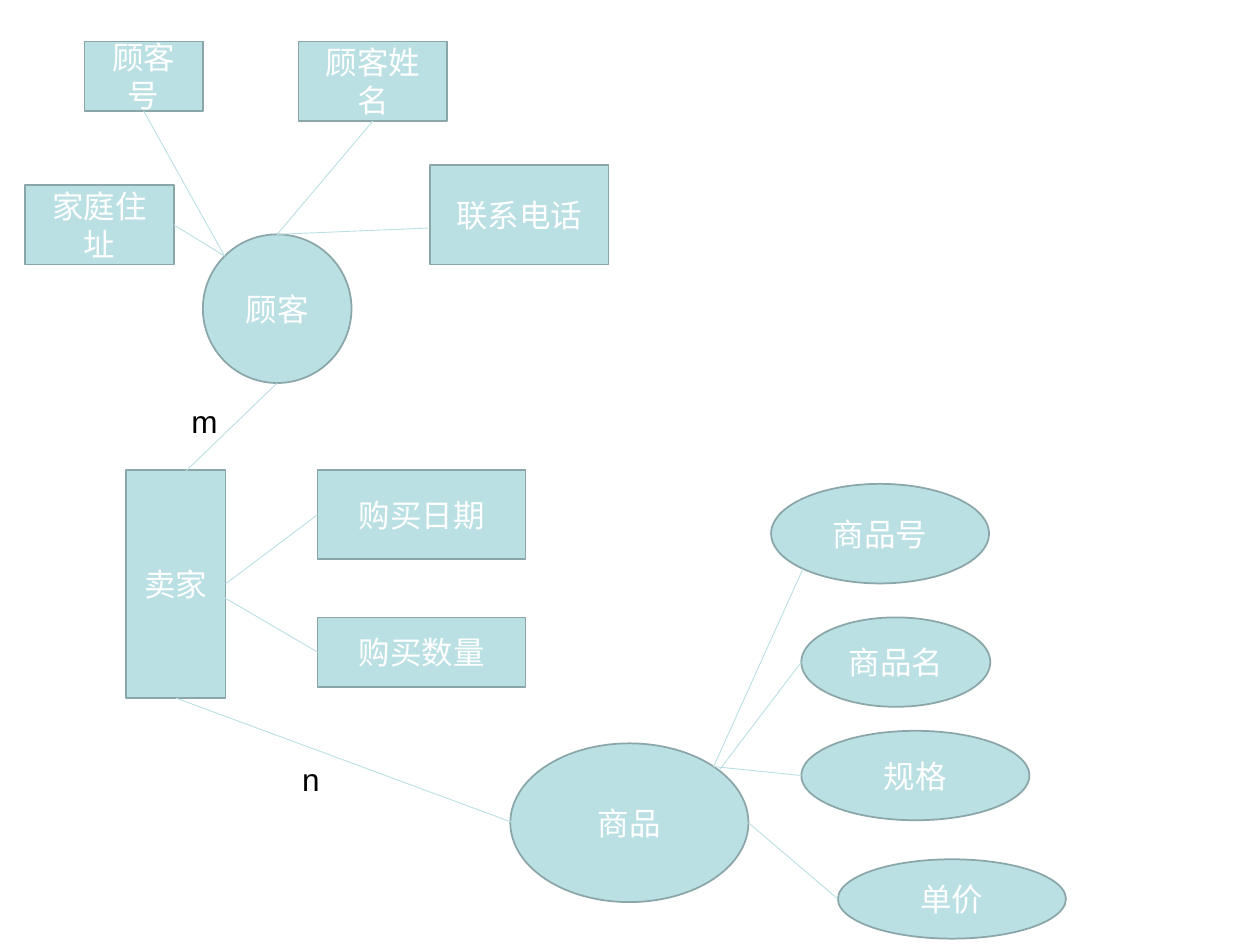
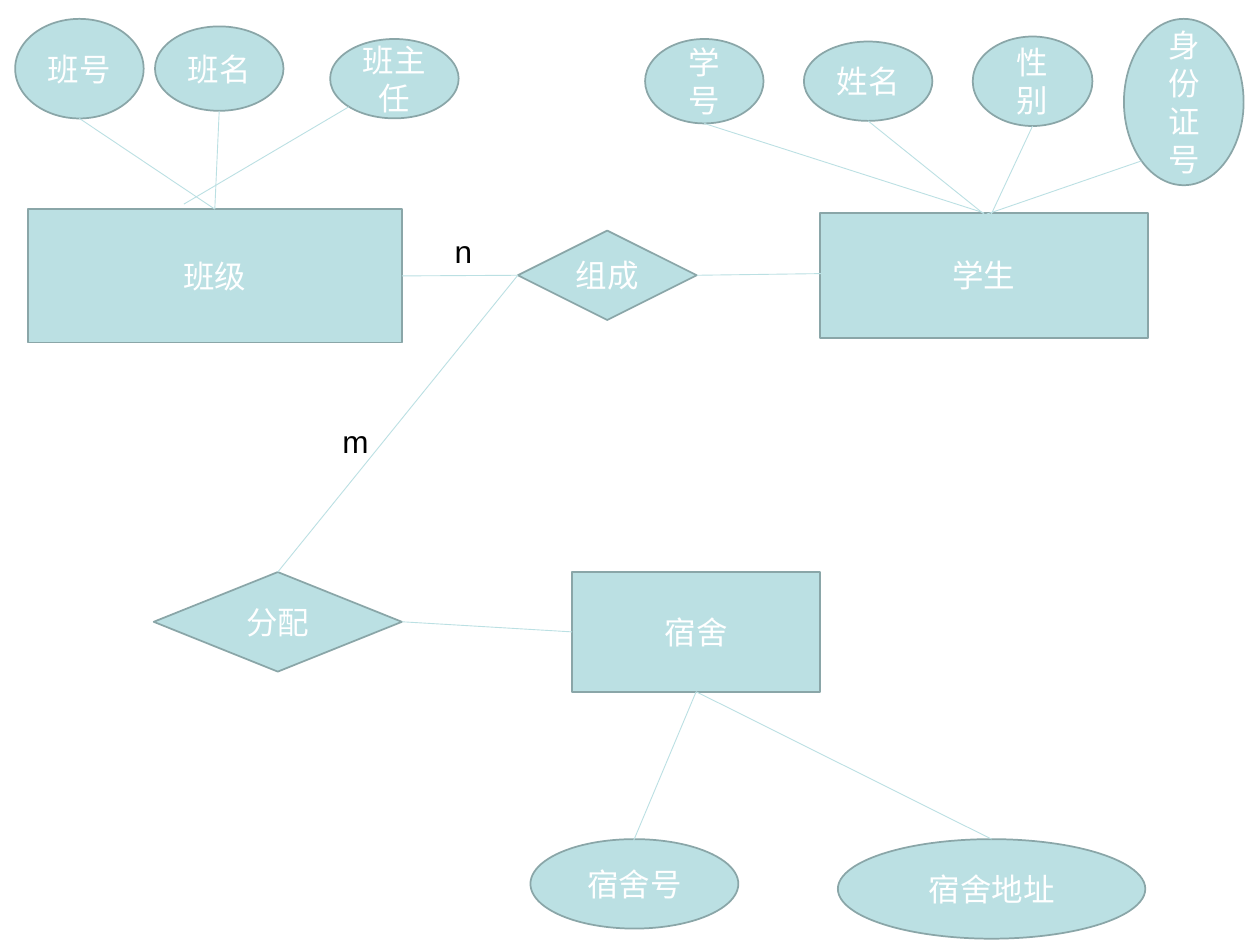
"""Two entity-relationship diagrams: a shop and a school."""
from lxml import etree
from pptx import Presentation
from pptx.dml.color import RGBColor
from pptx.enum import shapes, text
from pptx.oxml.ns import qn
from pptx.util import Inches, Pt

FILL, EDGE, WHITE, BLACK = "BBE0E3", "8AA6A8", "FFFFFF", "000000"
FONT, SIZE = "Arial", 18
RECT = shapes.MSO_SHAPE.RECTANGLE
OVAL = shapes.MSO_SHAPE.OVAL
GEM = shapes.MSO_SHAPE.DIAMOND

# Where lines dock, as fractions of a node's width and height.
NEAR, FAR = 0.146, 0.854
DOCKS = {"top": (0.5, 0), "left": (0, 0.5), "base": (0.5, 1),
         "right": (1, 0.5), "nw": (NEAR, NEAR), "ne": (FAR, NEAR),
         "sw": (NEAR, FAR)}

SHOP = {
    "nodes": [
        ("顾客", OVAL, 1.61, 1.86, 1.18, 1.18),
        ("家庭住址", RECT, 0.2, 1.47, 1.18, 0.63),
        ("顾客号", RECT, 0.67, 0.33, 0.94, 0.55),
        ("顾客姓名", RECT, 2.37, 0.33, 1.18, 0.63),
        ("联系电话", RECT, 3.41, 1.31, 1.42, 0.79),
        ("卖家", RECT, 1, 3.73, 0.79, 1.81),
        ("购买日期", RECT, 2.52, 3.73, 1.65, 0.71),
        ("购买数量", RECT, 2.52, 4.9, 1.65, 0.55),
        ("商品", OVAL, 4.05, 5.9, 1.89, 1.26),
        ("商品号", OVAL, 6.12, 3.84, 1.73, 0.79),
        ("商品名", OVAL, 6.36, 4.9, 1.5, 0.71),
        ("规格", OVAL, 6.36, 5.8, 1.81, 0.71),
        ("单价", OVAL, 6.65, 6.82, 1.81, 0.63),
    ],
    "links": [
        (("家庭住址", "right"), ("顾客", "nw")),
        (("顾客号", "base"), ("顾客", "nw")),
        (("顾客姓名", "base"), ("顾客", "top")),
        ((3.4, 1.81), ("顾客", "top")),
        (("购买日期", "left"), ("卖家", "right")),
        (("购买数量", "left"), (1.69, 4.69)),
        (("商品号", "sw"), ("商品", "ne")),
        (("商品名", "left"), (5.71, 6.11)),
        (("规格", "left"), ("商品", "ne")),
        (("单价", "left"), ("商品", "right")),
        (("顾客", "base"), (1.38, 3.83)),
        (("卖家", "base"), (4.21, 6.58)),
    ],
    "marks": [("m", 1.42, 3.14, 0.35), ("n", 2.3, 5.98, 0.26)],
}

SCHOOL = {
    "nodes": [
        ("班级", RECT, 0.22, 1.66, 2.97, 1.06),
        ("班号", OVAL, 0.12, 0.15, 1.02, 0.79),
        ("班名", OVAL, 1.23, 0.21, 1.02, 0.67),
        ("班主任", OVAL, 2.62, 0.31, 1.02, 0.63),
        ("组成", GEM, 4.11, 1.83, 1.42, 0.71),
        ("学生", RECT, 6.51, 1.69, 2.6, 0.99),
        ("学号", OVAL, 5.12, 0.31, 0.94, 0.67),
        ("姓名", OVAL, 6.38, 0.33, 1.02, 0.63),
        ("性别", OVAL, 7.72, 0.29, 0.95, 0.71),
        ("身份证号", OVAL, 8.92, 0.15, 0.95, 1.32),
        ("分配", GEM, 1.22, 4.54, 1.97, 0.79),
        ("宿舍", RECT, 4.54, 4.54, 1.97, 0.95),
        ("宿舍号", OVAL, 4.21, 6.66, 1.65, 0.71),
        ("宿舍地址", OVAL, 6.65, 6.66, 2.44, 0.79),
    ],
    "links": [
        (("班号", "base"), ("班级", "top")),
        (("班名", "base"), ("班级", "top")),
        (("班主任", "sw"), (1.46, 1.62)),
        (("班级", "right"), ("组成", "left")),
        (("组成", "right"), (6.65, 2.17)),
        (("学号", "base"), ("学生", "top")),
        (("姓名", "base"), (7.91, 1.78)),
        (("性别", "base"), (7.83, 1.78)),
        (("身份证号", "sw"), (7.83, 1.7)),
        (("组成", "left"), ("分配", "top")),
        (("宿舍", "base"), (5, 6.74)),
        (("宿舍", "base"), ("宿舍地址", "top")),
        (("分配", "right"), ("宿舍", "left")),
    ],
    "marks": [("n", 3.51, 1.79, 0.23), ("m", 2.62, 3.3, 0.33)],
}


def color(code):
    """Turn a hex string into a colour."""
    return RGBColor.from_string(code)


def write(par, words, tint):
    """Add one run in the shared font."""
    run = par.add_run()
    run.text = words
    run.font.name, run.font.size = FONT, Pt(SIZE)
    run.font.color.rgb = color(tint)


def node(slide, name, kind, *box):
    """Draw a filled shape with its name in the middle."""
    item = slide.shapes.add_shape(kind, *map(Inches, box))
    item.shadow.inherit = False
    item.fill.solid()
    item.fill.fore_color.rgb = color(FILL)
    item.line.color.rgb = color(EDGE)
    item.line.width = Pt(1)
    frame = item.text_frame
    frame.word_wrap = True
    frame.vertical_anchor = text.MSO_ANCHOR.MIDDLE
    par = frame.paragraphs[0]
    par.alignment = text.PP_ALIGN.CENTER
    write(par, name, WHITE)


def spot(end, boxes):
    """Give the point of a line end: a node's dock or a free point."""
    if end[0] not in boxes:
        return end
    x, y, wide, high = boxes[end[0]]
    across, down = DOCKS[end[1]]
    return x + across * wide, y + down * high


def link(slide, start, stop):
    """Draw a thin line between two points."""
    line = slide.shapes.add_connector(
        shapes.MSO_CONNECTOR.STRAIGHT, *map(Inches, (*start, *stop)))
    line.line.color.rgb = color(FILL)
    line.line.width = Pt(0.5)
    etree.SubElement(line._element.spPr, qn("a:effectLst"))


def mark(slide, words, x, y, wide):
    """Write a cardinality beside a line."""
    box = slide.shapes.add_textbox(*map(Inches, (x, y, wide, 0.4)))
    frame = box.text_frame
    frame.word_wrap = True
    frame.auto_size = text.MSO_AUTO_SIZE.SHAPE_TO_FIT_TEXT
    write(frame.paragraphs[0], words, BLACK)


def chart(deck, plan):
    """Add a slide with one diagram."""
    slide = deck.slides.add_slide(deck.slide_layouts[6])
    boxes = {name: box for name, kind, *box in plan["nodes"]}
    for item in plan["nodes"]:
        node(slide, *item)
    for start, stop in plan["links"]:
        link(slide, spot(start, boxes), spot(stop, boxes))
    for item in plan["marks"]:
        mark(slide, *item)


def main():
    """Build both slides and save them."""
    deck = Presentation()
    deck.slide_width, deck.slide_height = Inches(10), Inches(7.5)
    for plan in (SHOP, SCHOOL):
        chart(deck, plan)
    deck.save("out.pptx")


main()
